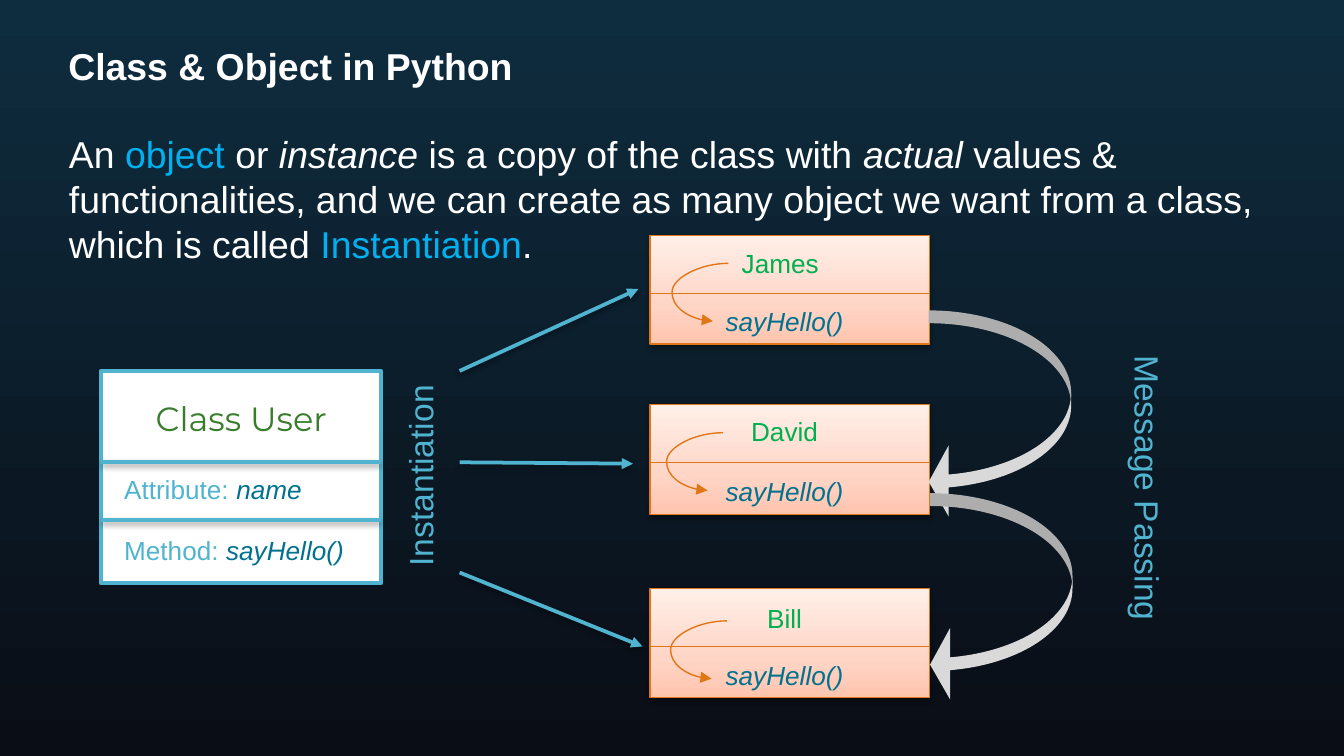
from dataclasses import dataclass
from typing import NamedTuple, Optional

from lxml import etree
from pptx import Presentation
from pptx import util as u
from pptx.dml.color import RGBColor
from pptx.enum import shapes, text
from pptx.oxml.ns import qn


@dataclass(frozen=True)
class Theme:
    white: str = "FFFFFF"
    accent: str = "00B0F0"
    teal: str = "50B3CF"
    deep_teal: str = "00728F"
    green: str = "00B050"
    class_green: str = "387C2C"
    orange: str = "DF7717"
    silver: str = "D9D9D9"
    night: tuple = ((0, "0E2D3F"), (100, "0A0D16"))
    peach: tuple = ((0, "FFC4AE"), (35, "FFD5C6"), (100, "FFEFE9"))
    font: str = "Arial"
    class_font: str = "Montserrat"
    large: int = 20
    medium: int = 18
    small: int = 14
    thick: float = 2
    thin: float = 0.75


class Area(NamedTuple):
    """Left column, top row, width and height in grid cells."""
    left: float
    top: float
    width: float
    height: float


class Span(NamedTuple):
    words: str
    color: str
    italic: bool = False
    bold: bool = False


class Instance(NamedTuple):
    name: str
    top: float
    height: float
    name_left: float
    name_width: float
    name_drop: float
    method_drop: float
    loop_left: float
    loop_drop: float


THEME = Theme()
COLUMNS, ROWS = 100, 56.25
CELL = u.Inches(0.1)
CARD_LEFT, CARD_WIDTH, CARD_SPLIT = 48.35, 20.8, 4.32
CLASS_BOX = Area(7.5, 27.6, 20.85, 15.8)
INSTANCES = (
    Instance("David", 30.1, 8.2, 54.9, 7, 0.3, 4.8, 53.8, 2.1),
    Instance("Bill", 43.8, 8.1, 56.1, 4.6, 0.5, 4.8, 54.1, 2.4),
    Instance("James", 17.5, 8.1, 54.2, 7.8, 0.4, 4.7, 54.2, 2.1),
)


def cells(*counts: float) -> list[int]:
    return [round(count * CELL) for count in counts]


def rgb(color: str) -> RGBColor:
    return RGBColor.from_string(color)


def paint_gradient(fill, holder, stops: tuple, angle: int) -> None:
    fill.gradient()
    fill.gradient_angle = angle
    stop_list = holder.find(".//" + qn("a:gsLst"))
    for stop in list(stop_list):
        stop_list.remove(stop)
    for percent, color in stops:
        stop = etree.SubElement(stop_list, qn("a:gs"), pos=str(percent * 1000))
        etree.SubElement(stop, qn("a:srgbClr"), val=color)


def set_effects(item, shadow: bool) -> None:
    """Give a shape or connector a soft drop shadow, or none."""
    properties = item._element.spPr
    effects = properties.find(qn("a:effectLst"))
    if effects is None:
        effects = etree.SubElement(properties, qn("a:effectLst"))
    if shadow:
        outer = etree.SubElement(effects, qn("a:outerShdw"), blurRad="40000",
                                 dist="20000", dir="5400000", rotWithShape="0")
        color = etree.SubElement(outer, qn("a:srgbClr"), val="000000")
        etree.SubElement(color, qn("a:alpha"), val="38000")


def add_text(page, area: Area, spans: list[Span], size: int, font: str = THEME.font,
             centered: bool = False, wrap: bool = False, rotation: int = 0):
    box = page.shapes.add_textbox(*cells(*area))
    box.rotation = rotation
    box.text_frame.word_wrap = wrap
    para = box.text_frame.paragraphs[0]
    para.alignment = text.PP_ALIGN.CENTER if centered else text.PP_ALIGN.LEFT
    for span in spans:
        run = para.add_run()
        run.text = span.words
        run.font.name, run.font.size = font, u.Pt(size)
        run.font.color.rgb = rgb(span.color)
        run.font.italic, run.font.bold = span.italic, span.bold
    return box


def add_box(page, area: Area, line: str, width: float, gradient: Optional[tuple] = None) -> None:
    box = page.shapes.add_shape(shapes.MSO_SHAPE.RECTANGLE, *cells(*area))
    box.shadow.inherit = False
    if gradient:
        paint_gradient(box.fill, box._element, gradient, 90)
    else:
        box.fill.solid()
        box.fill.fore_color.rgb = rgb(THEME.white)
    box.line.color.rgb, box.line.width = rgb(line), u.Pt(width)
    set_effects(box, shadow=gradient is not None)


def add_line(page, start: tuple, end: tuple, color: str, width: float,
             arrow: bool = False, shadow: bool = False, bend: Optional[float] = None) -> None:
    kind = shapes.MSO_CONNECTOR.CURVE if bend else shapes.MSO_CONNECTOR.STRAIGHT
    line = page.shapes.add_connector(kind, *cells(*start, *end))
    line.line.color.rgb, line.line.width = rgb(color), u.Pt(width)
    properties = line._element.spPr
    if arrow:
        etree.SubElement(properties.find(qn("a:ln")), qn("a:tailEnd"), type="triangle")
    if bend:
        guides = properties.find(qn("a:prstGeom")).find(qn("a:avLst"))
        etree.SubElement(guides, qn("a:gd"), name="adj1", fmla=f"val {round(bend * 100000)}")
    set_effects(line, shadow)


def add_instance(page, item: Instance) -> None:
    add_box(page, Area(CARD_LEFT, item.top, CARD_WIDTH, item.height),
            THEME.orange, THEME.thin, THEME.peach)
    add_text(page, Area(item.name_left, item.top + item.name_drop, item.name_width, 3.4),
             [Span(item.name, THEME.green)], THEME.small)
    add_text(page, Area(53, item.top + item.method_drop, 10.8, 3.4),
             [Span("sayHello()", THEME.deep_teal, italic=True)], THEME.small)
    split = item.top + CARD_SPLIT
    add_line(page, (CARD_LEFT, split), (CARD_LEFT + CARD_WIDTH, split), THEME.orange, THEME.thin)


def add_message(page, area: Area) -> None:
    arrow = page.shapes.add_shape(shapes.MSO_SHAPE.CURVED_DOWN_ARROW, *cells(*area))
    arrow.rotation = 90
    for index, share in enumerate((0.09, 0.5, 0.14)):
        arrow.adjustments[index] = share
    arrow.shadow.inherit = False
    arrow.fill.solid()
    arrow.fill.fore_color.rgb = rgb(THEME.silver)
    arrow.line.fill.background()


def main() -> None:
    deck = Presentation()
    deck.slide_width, deck.slide_height = cells(COLUMNS, ROWS)
    page = deck.slides.add_slide(deck.slide_layouts[6])
    paint_gradient(page.background.fill, page._element, THEME.night, 270)

    # Definition and title
    white, accent = THEME.white, THEME.accent
    body = add_text(page, Area(4.15, 9.3, 91.7, 43), [
        Span("An ", white), Span("object", accent), Span(" or ", white),
        Span("instance", white, italic=True), Span(" is a copy of the class with ", white),
        Span("actual ", white, italic=True),
        Span("values & functionalities, and we can create as many object we want "
             "from a class, which is called ", white),
        Span("Instantiation", accent), Span(".", white)], THEME.large, wrap=True)
    body.text_frame.paragraphs[0].space_before = u.Pt(2)
    title = add_text(page, Area(4.1, 2.7, 91.8, 4.4),
                     [Span("Class & Object in Python", white, bold=True)], THEME.large, wrap=True)
    title.text_frame.vertical_anchor = text.MSO_ANCHOR.MIDDLE

    # Class with its attribute and method
    add_box(page, CLASS_BOX, THEME.teal, THEME.thick)
    add_text(page, Area(9.5, 29.1, 16.9, 4), [Span("Class User", THEME.class_green)],
             THEME.medium, THEME.class_font, centered=True)
    for label, member, top, width in (("Attribute: ", "name", 34.7, 15.3),
                                      ("Method: ", "sayHello()", 39.25, 18.4)):
        add_text(page, Area(8.25, top, width, 3.4),
                 [Span(label, THEME.teal), Span(member, THEME.deep_teal, italic=True)], THEME.small)
    for row in (34.4, 38.7):
        add_line(page, (CLASS_BOX.left, row), (CLASS_BOX.left + CLASS_BOX.width, row),
                 THEME.teal, THEME.thick, shadow=True)

    # Instances and the arrows leading to them
    for item in INSTANCES:
        add_instance(page, item)
    for row, end in ((27.6, (47.5, 21.5)), (34.4, (47.1, 34.5)), (42.6, (47.8, 48.1))):
        add_line(page, (34.2, row), end, THEME.teal, THEME.thick, arrow=True, shadow=True)

    # Messages between instances, with the two upright labels
    for left, top in ((66.7, 25.5), (66.8, 39.1)):
        add_message(page, Area(left, top, 15.4, 10.6))
    for label, area, rotation in (("Instantiation", Area(22.9, 33.4, 16.7, 4), 270),
                                  ("Message Passing", Area(71.5, 34.3, 27.8, 4), 90)):
        add_text(page, area, [Span(label, THEME.teal)], THEME.medium,
                 centered=True, wrap=True, rotation=rotation)

    # Loops from each name to its method
    for item in INSTANCES:
        row = item.top + item.loop_drop
        add_line(page, (item.loop_left, row), (item.loop_left - 1.15, row + 4.3),
                 THEME.orange, THEME.thin, arrow=True, bend=3.65)

    deck.save("out.pptx")


if __name__ == "__main__":
    main()
